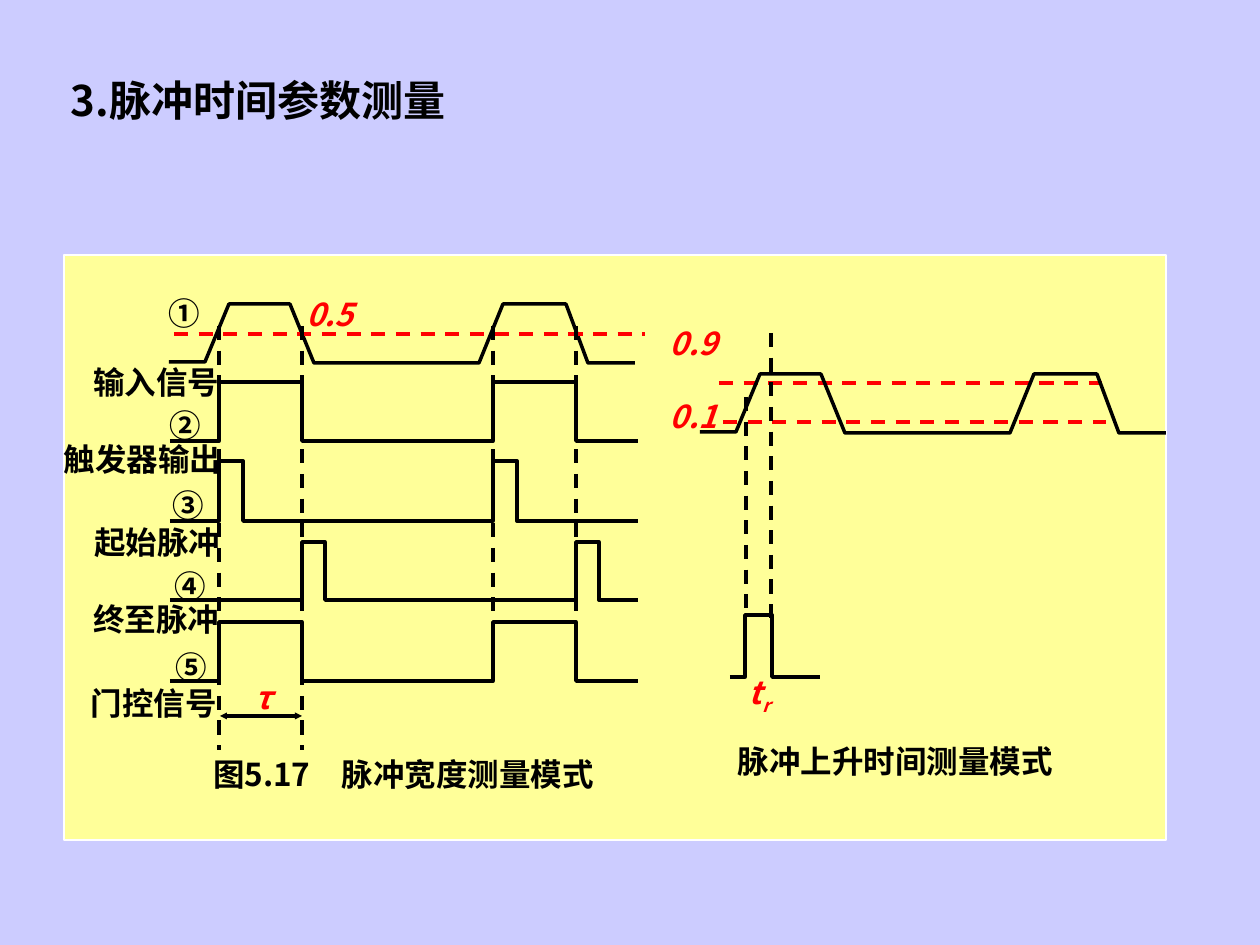
from dataclasses import dataclass

from lxml.etree import SubElement
from pptx import Presentation
from pptx.dml.color import RGBColor
from pptx.enum.dml import MSO_LINE_DASH_STYLE as Dash
from pptx.enum.shapes import MSO_CONNECTOR, MSO_SHAPE
from pptx.enum.text import MSO_ANCHOR, MSO_AUTO_SIZE, PP_ALIGN
from pptx.oxml.ns import qn
from pptx.util import Emu, Pt


@dataclass(frozen=True)
class Theme:
    font: str = "Noto Sans CJK SC"
    backdrop: RGBColor = RGBColor(0xCC, 0xCC, 0xFF)
    panel: RGBColor = RGBColor(0xFF, 0xFF, 0x99)
    border: RGBColor = RGBColor(0xFF, 0xFF, 0xFF)
    ink: RGBColor = RGBColor(0, 0, 0)
    accent: RGBColor = RGBColor(0xFF, 0, 0)
    title_size: Pt = Pt(24)
    label_size: Pt = Pt(18)
    border_width: Pt = Pt(0.75)
    stroke: Pt = Pt(2)


THEME = Theme()
PX_PER_INCH = 126

RISE_1, FALL_1, RISE_2, FALL_2 = 219, 302, 493, 576
TRACE_LEFT, TRACE_RIGHT = 170, 638
RAMP = [(169, 362), (205, 362), (229, 304), (290, 304), (314, 363),
        (479, 363), (503, 304), (566, 304), (588, 363), (635, 363)]
RAMP_SHIFT = (531, 70)
TRACES = [
    ([(RISE_1, FALL_1), (RISE_2, FALL_2)], 382, 441),
    ([(RISE_1, 243), (RISE_2, 517)], 461, 521),
    ([(FALL_1, 325), (FALL_2, 599)], 542, 600),
    ([(RISE_1, FALL_1), (RISE_2, FALL_2)], 622, 681),
]
SIGNALS = [
    ("①", 169, 294, "输入信号", 93, 363),
    ("②", 170, 406, "触发器输出", 64, 440),
    ("③", 173, 486, "起始脉冲", 94, 523),
    ("④", 175, 567, "终至脉冲", 93, 600),
    ("⑤", 176, 648, "门控信号", 91, 684),
]


def px(length):
    return Emu(round(length * 914400 / PX_PER_INCH))


def style_run(run, size, color, italic=False):
    run.font.name = THEME.font
    run.font.size = size
    run.font.bold = True
    run.font.italic = italic
    run.font.color.rgb = color
    SubElement(run._r.get_or_add_rPr(), qn("a:ea"), typeface=THEME.font)


def add_title(slide, text):
    title = slide.shapes.title
    title.left, title.top, title.width, title.height = map(px, (58, 72, 407, 63))
    frame = title.text_frame
    frame.text = text
    frame.word_wrap = True
    frame.auto_size = MSO_AUTO_SIZE.SHAPE_TO_FIT_TEXT
    frame.vertical_anchor = MSO_ANCHOR.MIDDLE
    heading = frame.paragraphs[0]
    heading.alignment = PP_ALIGN.LEFT
    heading.line_spacing = 0.84
    style_run(heading.runs[0], THEME.title_size, THEME.ink)


def add_panel(slide):
    panel = slide.shapes.add_shape(MSO_SHAPE.RECTANGLE, *map(px, (64, 255, 1102, 585)))
    panel.shadow.inherit = False
    panel.fill.solid()
    panel.fill.fore_color.rgb = THEME.panel
    panel.line.color.rgb = THEME.border
    panel.line.width = THEME.border_width


def add_label(slide, text, left, top, width, color=THEME.ink, italic=False, subscript=""):
    label = slide.shapes.add_textbox(*map(px, (left, top, width, 46)))
    frame = label.text_frame
    frame.margin_left = frame.margin_right = frame.margin_top = frame.margin_bottom = 0
    frame.word_wrap = True
    frame.text = text
    wording = frame.paragraphs[0]
    style_run(wording.runs[0], THEME.label_size, color, italic)
    if subscript:
        index = wording.add_run()
        index.text = subscript
        style_run(index, THEME.label_size, color, italic)
        index._r.get_or_add_rPr().set("baseline", "-25000")


def add_line(slide, start, end, color=THEME.ink, dashed=True):
    line = slide.shapes.add_connector(MSO_CONNECTOR.STRAIGHT, *map(px, (*start, *end)))
    line.line.color.rgb = color
    line.line.width = THEME.stroke
    if dashed:
        line.line.dash_style = Dash.DASH
    SubElement(line._element.spPr, qn("a:effectLst"))
    return line


def add_span(slide, start, end):
    span = add_line(slide, start, end, dashed=False)
    for tip in ("a:headEnd", "a:tailEnd"):
        SubElement(span.line._get_or_add_ln(), qn(tip), type="triangle", w="sm", len="sm")


def add_wave(slide, points):
    corners = [(px(x), px(y)) for x, y in points]
    builder = slide.shapes.build_freeform(*corners[0])
    builder.add_line_segments(corners[1:], close=False)
    wave = builder.convert_to_shape()
    wave.shadow.inherit = False
    wave.fill.background()
    wave.line.color.rgb = THEME.ink
    wave.line.width = THEME.stroke


def pulse_train(left, right, pulses, top, base):
    points = [(left, base)]
    for rise, fall in pulses:
        points += [(rise, base), (rise, top), (fall, top), (fall, base)]
    return points + [(right, base)]


def add_width_mode(slide):
    add_wave(slide, RAMP)
    add_line(slide, (174, 334), (645, 334), THEME.accent)
    for pulses, top, base in TRACES:
        add_wave(slide, pulse_train(TRACE_LEFT, TRACE_RIGHT, pulses, top, base))
    for edge, bottom in ((RISE_1, 750), (FALL_1, 750), (RISE_2, 668), (FALL_2, 668)):
        add_line(slide, (edge, 326), (edge, bottom))
    add_span(slide, (RISE_1 + 1, 716), (FALL_1, 716))
    for number, number_left, number_top, name, left, top in SIGNALS:
        add_label(slide, number, number_left, number_top, 27)
        add_label(slide, name, left, top, 32 * len(name) + 2)
    add_label(slide, "0.5", 306, 295, 80, THEME.accent, italic=True)
    add_label(slide, "τ", 255, 678, 27, THEME.accent, italic=True)
    add_label(slide, "图5.17　脉冲宽度测量模式", 213, 755, 400)


def add_rise_mode(slide):
    shift_x, shift_y = RAMP_SHIFT
    add_line(slide, (719, 383), (1102, 383), THEME.accent)
    add_line(slide, (723, 422), (1106, 422), THEME.accent)
    add_line(slide, (746, 397), (746, 615))
    add_line(slide, (771, 333), (771, 622))
    add_wave(slide, pulse_train(730, 820, [(745, 772)], 615, 677))
    add_wave(slide, [(x + shift_x, y + shift_y) for x, y in RAMP])
    add_label(slide, "0.9", 670, 324, 74, THEME.accent, italic=True)
    add_label(slide, "0.1", 670, 397, 54, THEME.accent, italic=True)
    add_label(slide, "t", 749, 673, 28, THEME.accent, italic=True, subscript="r")
    add_label(slide, "脉冲上升时间测量模式", 738, 742, 324)


def main():
    deck = Presentation()
    deck.slide_width, deck.slide_height = px(1260), px(945)
    slide = deck.slides.add_slide(deck.slide_layouts[5])
    slide.background.fill.solid()
    slide.background.fill.fore_color.rgb = THEME.backdrop
    add_title(slide, "3.脉冲时间参数测量")
    add_panel(slide)
    add_width_mode(slide)
    add_rise_mode(slide)
    deck.save("out.pptx")


if __name__ == "__main__":
    main()
